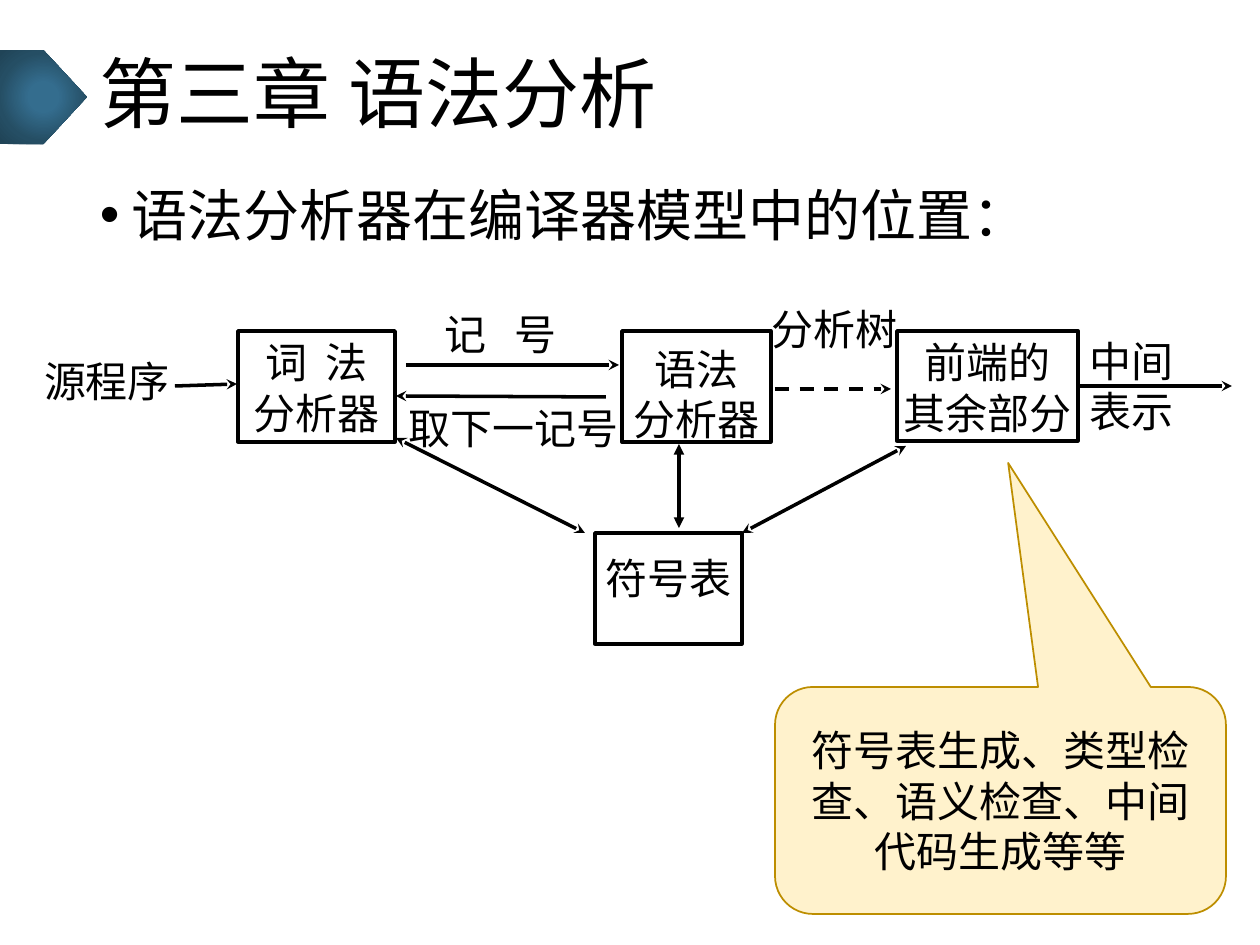
from lxml.etree import SubElement
from pptx import Presentation
from pptx.dml.color import RGBColor
from pptx.enum.dml import MSO_LINE
from pptx.enum.shapes import MSO_CONNECTOR, MSO_SHAPE
from pptx.enum.text import MSO_ANCHOR, PP_ALIGN
from pptx.oxml.ns import qn
from pptx.util import Pt

EMU_PER_PX = 914400 // 126
BLACK = RGBColor(0x00, 0x00, 0x00)
CREAM = RGBColor(0xFF, 0xF2, 0xCC)
GOLD = RGBColor(0xBD, 0x8E, 0x00)
BLUE = RGBColor(0x34, 0x6D, 0x8E)
DARK_BLUE = RGBColor(0x25, 0x4E, 0x64)
DEEP_BLUE = RGBColor(0x20, 0x44, 0x57)
LATIN_FONT = "Times New Roman"
CHINESE_FONT = "Noto Sans CJK SC"


def px(*lengths):
    return [length * EMU_PER_PX for length in lengths]


def write_text(shape, text, size=24, font=LATIN_FONT, align=PP_ALIGN.CENTER,
               anchor=MSO_ANCHOR.TOP, insets=(13, 6, 13, 6), line_spacing=None,
               bullet=None, letter_spacing=None):
    frame = shape.text_frame
    frame.word_wrap = True
    frame.vertical_anchor = anchor
    (frame.margin_left, frame.margin_top,
     frame.margin_right, frame.margin_bottom) = px(*insets)
    for index, line in enumerate(text.split("\n")):
        paragraph = frame.add_paragraph() if index else frame.paragraphs[0]
        paragraph.alignment = align
        paragraph.line_spacing = line_spacing
        if bullet:
            properties = paragraph._p.get_or_add_pPr()
            indent = px(32)[0]
            properties.set("marL", str(indent))
            properties.set("indent", str(-indent))
            SubElement(properties, qn("a:buFont"), typeface="Arial")
            SubElement(properties, qn("a:buChar"), char=bullet)
        run = paragraph.add_run()
        run.text = line
        run.font.size = Pt(size)
        run.font.name = font
        run.font.color.rgb = BLACK
        run_properties = run._r.get_or_add_rPr()
        SubElement(run_properties, qn("a:ea"), typeface=CHINESE_FONT)
        if letter_spacing and " " in line:
            run_properties.set("spc", str(letter_spacing))


def add_label(slide, bounds, text, **text_format):
    write_text(slide.shapes.add_textbox(*px(*bounds)), text, **text_format)


def add_box(slide, bounds, text, top_inset=6, **text_format):
    shape = slide.shapes.add_shape(MSO_SHAPE.RECTANGLE, *px(*bounds))
    shape.shadow.inherit = False
    shape.fill.background()
    shape.line.color.rgb = BLACK
    shape.line.width = Pt(2)
    write_text(shape, text, insets=(3, top_inset, 3, 6), **text_format)


def add_arrow(slide, start, end, head=None, tail="stealth", dash=None):
    connector = slide.shapes.add_connector(
        MSO_CONNECTOR.STRAIGHT, *px(*start, *end))
    connector.line.color.rgb = BLACK
    connector.line.width = Pt(2)
    if dash:
        connector.line.dash_style = dash
    line = connector.line._get_or_add_ln()
    for tag, kind in (("a:headEnd", head), ("a:tailEnd", tail)):
        if kind:
            SubElement(line, qn(tag), type=kind)
    SubElement(connector._element.spPr, qn("a:effectLst"))


def add_title_marker(slide):
    shape = slide.shapes.add_shape(MSO_SHAPE.PENTAGON, *px(0, 50, 87, 94))
    shape.shadow.inherit = False
    shape.line.fill.background()
    shape.fill.gradient()
    gradient = shape._element.spPr.find(qn("a:gradFill"))
    for child in list(gradient):
        gradient.remove(child)
    stops = SubElement(gradient, qn("a:gsLst"))
    for percent, color in ((0, BLUE), (23, BLUE), (69, DARK_BLUE), (97, DEEP_BLUE)):
        stop = SubElement(stops, qn("a:gs"), pos=str(percent * 1000))
        SubElement(stop, qn("a:srgbClr"), val=str(color))
    circle = SubElement(gradient, qn("a:path"), path="circle")
    SubElement(circle, qn("a:fillToRect"), l="50000", t="50000", r="50000", b="50000")


def add_callout(slide, bounds, text, adjustments):
    shape = slide.shapes.add_shape(MSO_SHAPE.ROUNDED_RECTANGULAR_CALLOUT, *px(*bounds))
    shape.shadow.inherit = False
    shape.fill.solid()
    shape.fill.fore_color.rgb = CREAM
    shape.line.color.rgb = GOLD
    shape.line.width = Pt(1)
    for index, value in enumerate(adjustments):
        shape.adjustments[index] = value
    write_text(shape, text, anchor=MSO_ANCHOR.MIDDLE)


def add_boxes(slide):
    add_box(slide, (238, 331, 157, 111), "词 法\n分析器",
            font=CHINESE_FONT, letter_spacing=270)
    add_box(slide, (897, 331, 181, 110), "前端的\n其余部分")
    add_box(slide, (622, 331, 149, 111), "语法\n分析器",
            top_inset=20, anchor=MSO_ANCHOR.MIDDLE)
    add_box(slide, (595, 533, 147, 111), "符号表", top_inset=20)


def add_labels(slide):
    add_label(slide, (396, 302, 209, 68), "记 号",
              font=CHINESE_FONT, letter_spacing=540)
    add_label(slide, (370, 397, 287, 63), "取下一记号")
    add_label(slide, (28, 350, 158, 68), "源程序")
    for bounds, text in (((742, 302, 186, 59), "分析树"),
                         ((1057, 334, 149, 59), "中间表示")):
        add_label(slide, bounds, text, insets=(13, 1, 13, 6))


def add_arrows(slide):
    add_arrow(slide, (406, 365), (619, 365))
    add_arrow(slide, (606, 397), (396, 396))
    add_arrow(slide, (175, 386), (237, 384))
    add_arrow(slide, (775, 389), (891, 389), dash=MSO_LINE.DASH)
    add_arrow(slide, (1077, 386), (1232, 386))
    add_arrow(slide, (396, 438), (585, 533), head="stealth")
    add_arrow(slide, (906, 446), (742, 533), head="stealth")
    add_arrow(slide, (679, 444), (679, 528), head="triangle", tail="triangle")


def main():
    presentation = Presentation()
    presentation.slide_width, presentation.slide_height = px(1260, 945)
    slide = presentation.slides.add_slide(presentation.slide_layouts[6])
    add_title_marker(slide)
    add_label(slide, (87, 32, 1086, 131), "第三章 语法分析", size=44,
              align=PP_ALIGN.LEFT, anchor=MSO_ANCHOR.MIDDLE, line_spacing=0.9)
    add_label(slide, (87, 174, 1086, 678), "语法分析器在编译器模型中的位置：",
              size=32, align=PP_ALIGN.LEFT, bullet="•")
    add_boxes(slide)
    add_labels(slide)
    add_arrows(slide)
    add_callout(slide, (775, 687, 451, 227),
                "符号表生成、类型检查、语义检查、中间代码生成等等", (0.017, -1.487, 0.167))
    add_callout_done = None
    presentation.save("out.pptx")


if __name__ == "__main__":
    main()
